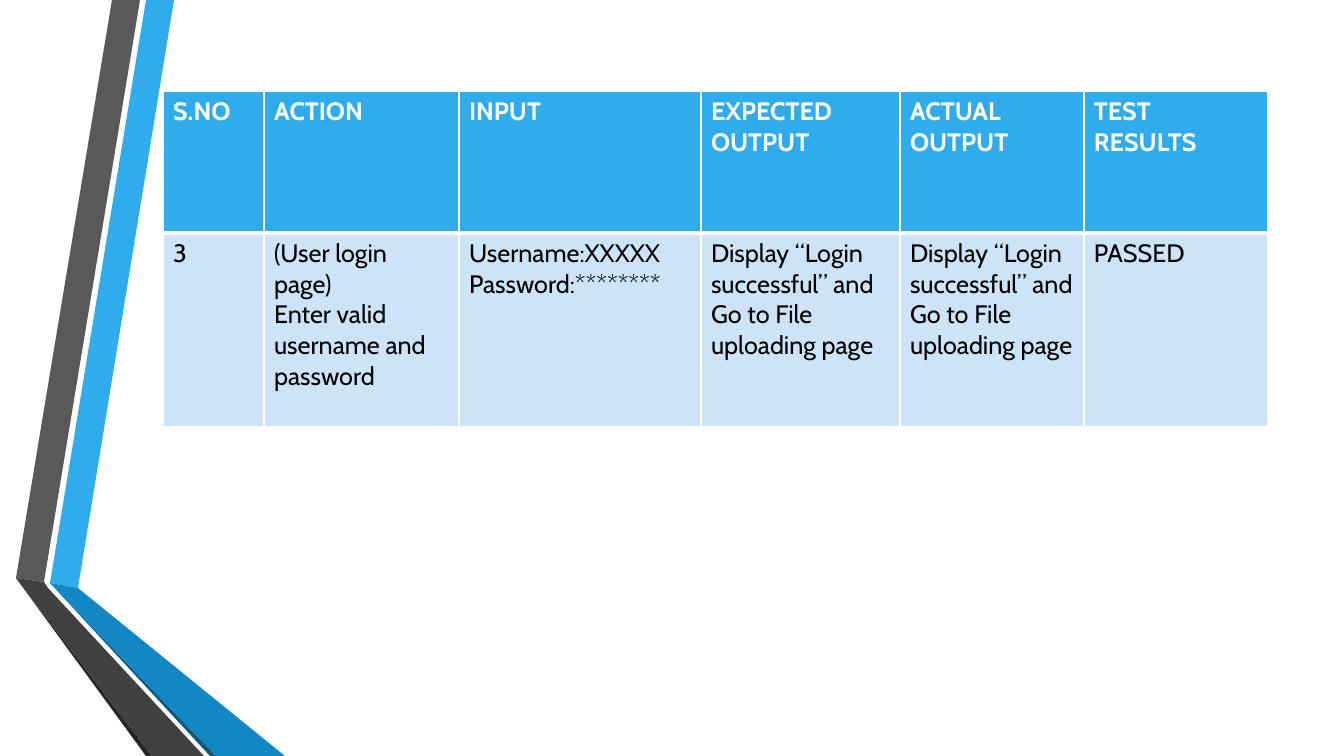
"""Build a slide with a login test-case table beside a folded ribbon."""
from dataclasses import dataclass

from lxml import etree
from pptx import Presentation, util as u
from pptx.dml.color import RGBColor
from pptx.oxml import ns


@dataclass(frozen=True)
class Theme:
    font: str = "Cabin"
    size: int = 18
    white: str = "FFFFFF"
    black: str = "000000"
    header: str = "30ACEC"
    body: str = "CDE3F8"
    blue: str = "30ACEC"
    blue_fold: str = "1287C3"
    blue_edge: str = "0C5A82"
    grey: str = "595959"
    grey_fold: str = "404040"
    grey_edge: str = "262626"
    rule: int = 1
    header_rule: int = 3


THEME = Theme()
PX = 914400 / 100.8
SLIDE = (1344, 756)

OUTCOME = ["Display “Login successful” and", "Go to File uploading page"]
HEADINGS = [["S.NO"], ["ACTION"], ["INPUT"], ["EXPECTED", "OUTPUT"],
            ["ACTUAL OUTPUT"], ["TEST", "RESULTS"]]
TEST_CASE = [
    ["3"],
    ["(User login page)", "Enter valid username and", "password"],
    ["Username:XXXXX", "Password:********"],
    OUTCOME,
    OUTCOME,
    ["PASSED"],
]
TABLE_AT = (163, 91)
COLUMNS = [101, 195, 242, 199, 184, 184]
ROWS = [142, 194]

RIBBON = [
    (THEME.blue, [(50, 583), (78, 588), (174, 0), (146, 0)]),
    (THEME.grey, [(140, 0), (112, 0), (16, 578), (44, 582)]),
    (THEME.grey_edge, [(16, 578), (146, 756), (152, 756)]),
    (THEME.blue_edge, [(50, 583), (210, 756), (216, 756)]),
    (THEME.blue_fold, [(50, 583), (216, 756), (285, 756), (78, 588)]),
    (THEME.grey_fold, [(204, 756), (48, 588), (44, 582), (16, 578), (152, 756)]),
]


def px(length):
    return u.Emu(round(length * PX))


def write(frame, lines, *, color, bold=False):
    frame.word_wrap = True
    for index, line in enumerate(lines):
        paragraph = frame.add_paragraph() if index else frame.paragraphs[0]
        run = paragraph.add_run()
        run.text = line
        run.font.name = THEME.font
        run.font.size = u.Pt(THEME.size)
        run.font.bold = bold
        run.font.color.rgb = RGBColor.from_string(color)


def rule_cell(cell, **widths):
    properties = cell._tc.get_or_add_tcPr()
    for side in "LRTB":
        width = u.Pt(widths.get(side, THEME.rule))
        edge = etree.SubElement(properties, ns.qn(f"a:ln{side}"), w=str(width))
        fill = etree.SubElement(edge, ns.qn("a:solidFill"))
        etree.SubElement(fill, ns.qn("a:srgbClr"), val=THEME.white)


def draw_ribbon(slide):
    for color, (start, *corners) in RIBBON:
        builder = slide.shapes.build_freeform(*start, scale=PX)
        builder.add_line_segments(corners, close=True)
        band = builder.convert_to_shape()
        band.shadow.inherit = False
        band.fill.solid()
        band.fill.fore_color.rgb = RGBColor.from_string(color)
        band.line.fill.background()


def draw_results(slide):
    size = (sum(COLUMNS), sum(ROWS))
    results = slide.shapes.add_table(
        len(ROWS), len(COLUMNS), *map(px, TABLE_AT + size)).table
    for column, width in zip(results.columns, COLUMNS):
        column.width = px(width)
    for row, height in zip(results.rows, ROWS):
        row.height = px(height)

    styles = [
        (HEADINGS, THEME.header, THEME.white, True, "B"),
        (TEST_CASE, THEME.body, THEME.black, False, "T"),
    ]
    for row, (entries, fill, color, bold, seam) in zip(results.rows, styles):
        for cell, lines in zip(row.cells, entries):
            rule_cell(cell, **{seam: THEME.header_rule})
            cell.fill.solid()
            cell.fill.fore_color.rgb = RGBColor.from_string(fill)
            write(cell.text_frame, lines, color=color, bold=bold)


def main():
    deck = Presentation()
    deck.slide_width, deck.slide_height = map(px, SLIDE)
    slide = deck.slides.add_slide(deck.slide_layouts[6])
    draw_ribbon(slide)
    draw_results(slide)
    deck.save("out.pptx")


if __name__ == "__main__":
    main()
